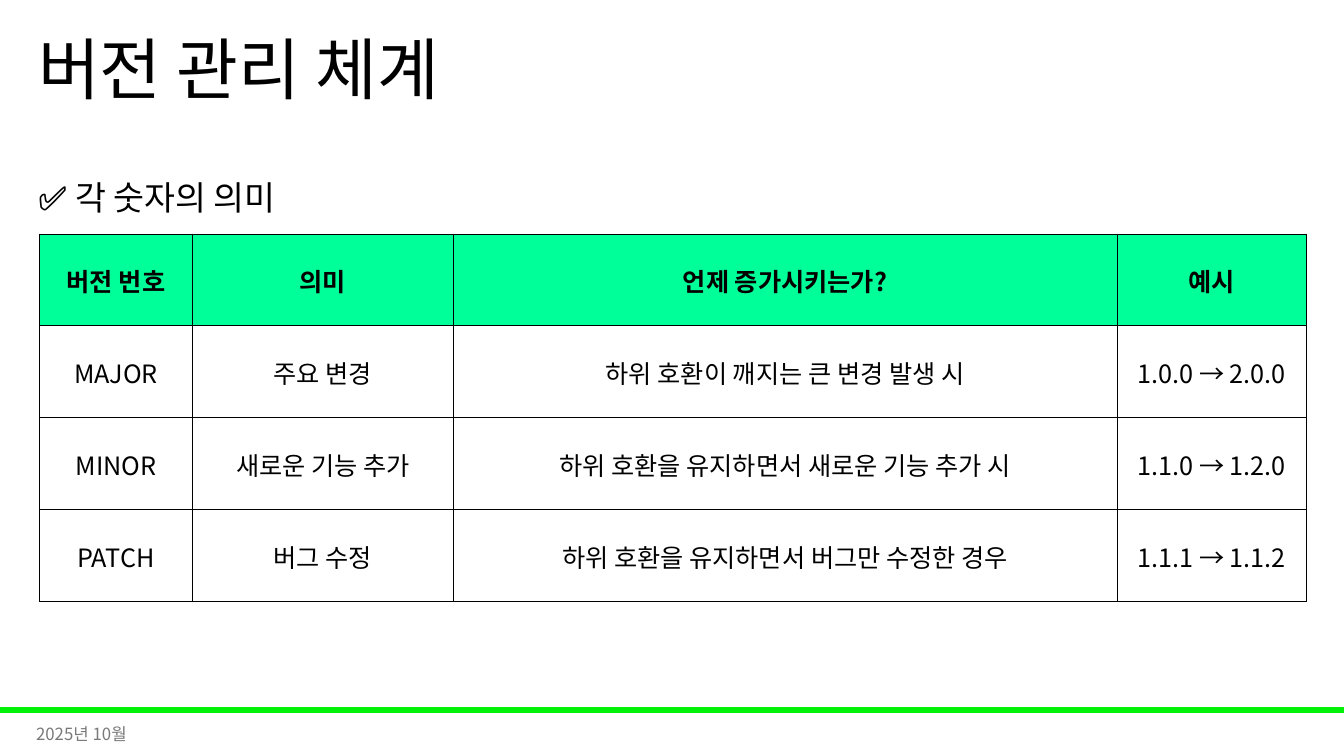
from lxml import etree
from pptx import Presentation
from pptx import util as u
from pptx.dml.color import RGBColor
from pptx.enum import shapes, text
from pptx.oxml import ns

FONT = "Noto Sans CJK KR"
BLACK = RGBColor(0x00, 0x00, 0x00)
GREY = RGBColor(0x79, 0x79, 0x79)
RULE_GREEN = RGBColor(0x00, 0xF2, 0x09)
HEADER_GREEN = RGBColor(0x00, 0xFF, 0x99)

SLIDE_WIDTH, SLIDE_HEIGHT = 13.33, 7.5
COLUMN_WIDTHS = (1.52, 2.58, 6.58, 1.88)
VERSION_ROWS = (
    ("버전 번호", "의미", "언제 증가시키는가?", "예시"),
    ("MAJOR", "주요 변경", "하위 호환이 깨지는 큰 변경 발생 시", "1.0.0 → 2.0.0"),
    ("MINOR", "새로운 기능 추가", "하위 호환을 유지하면서 새로운 기능 추가 시", "1.1.0 → 1.2.0"),
    ("PATCH", "버그 수정", "하위 호환을 유지하면서 버그만 수정한 경우", "1.1.1 → 1.1.2"),
)


def inches(box):
    return [u.Inches(length) for length in box]


def set_attributes(target, values):
    for name, value in values.items():
        setattr(target, name, value)


def write(paragraph, wording, size, color=BLACK, bold=False):
    """Add one run, with the font set for Latin and Korean letters."""
    run = paragraph.add_run()
    run.text = wording
    set_attributes(run.font, {"name": FONT, "size": u.Pt(size), "bold": bold})
    run.font.color.rgb = color
    etree.SubElement(run.font._element, ns.qn("a:ea"), typeface=FONT)


def add_line_of_text(slide, box, wording, size, color=BLACK,
                     anchor=text.MSO_ANCHOR.MIDDLE, spacing=1.0):
    frame = slide.shapes.add_textbox(*inches(box)).text_frame
    set_attributes(frame, {"word_wrap": True, "vertical_anchor": anchor})
    paragraph = frame.paragraphs[0]
    paragraph.line_spacing = spacing
    write(paragraph, wording, size, color)


def add_borders(cell):
    properties = cell._tc.get_or_add_tcPr()
    for side in ("lnL", "lnR", "lnT", "lnB"):
        border = etree.SubElement(properties, ns.qn(f"a:{side}"), w=str(u.Pt(0.5)))
        fill = etree.SubElement(border, ns.qn("a:solidFill"))
        etree.SubElement(fill, ns.qn("a:srgbClr"), val=str(BLACK))


def add_version_table(slide, box):
    left, top, width, height = inches(box)
    table = slide.shapes.add_table(
        len(VERSION_ROWS), len(COLUMN_WIDTHS), left, top, width, height).table
    set_attributes(table, {"first_row": False, "horz_banding": False})
    for column, share in zip(table.columns, COLUMN_WIDTHS):
        column.width = int(width * share / sum(COLUMN_WIDTHS))
    margin = u.Inches(0.01)
    cell_format = {
        "vertical_anchor": text.MSO_ANCHOR.MIDDLE,
        "margin_left": margin, "margin_right": margin,
        "margin_top": margin, "margin_bottom": 0,
    }
    for row, wordings in enumerate(VERSION_ROWS):
        is_header = row == 0
        for column, wording in enumerate(wordings):
            cell = table.cell(row, column)
            set_attributes(cell, cell_format)
            add_borders(cell)
            if is_header:
                cell.fill.solid()
                cell.fill.fore_color.rgb = HEADER_GREEN
            else:
                cell.fill.background()
            paragraph = cell.text_frame.paragraphs[0]
            paragraph.alignment = text.PP_ALIGN.CENTER
            write(paragraph, wording, 18, bold=is_header)


def add_footer(slide, box):
    """Place the green rule at the top of the box and the date below it."""
    left, top, width, height = box
    rule_height = 0.05
    rule = slide.shapes.add_shape(
        shapes.MSO_SHAPE.RECTANGLE, *inches((left, top, width, rule_height)))
    rule.shadow.inherit = False
    rule.fill.solid()
    rule.fill.fore_color.rgb = RULE_GREEN
    rule.line.color.rgb = RULE_GREEN
    rule.line.width = u.Pt(1)
    date_box = (left + 0.26, top + 0.06, 3, 0.4)
    add_line_of_text(slide, date_box, "2025년 10월", 12, GREY)


def main():
    deck = Presentation()
    deck.slide_width, deck.slide_height = inches((SLIDE_WIDTH, SLIDE_HEIGHT))
    slide = deck.slides.add_slide(deck.slide_layouts[6])
    footer_top = 7.02
    add_footer(slide, (0, footer_top, SLIDE_WIDTH, SLIDE_HEIGHT - footer_top))
    add_line_of_text(slide, (0.28, 0, 11.5, 1.45), "버전 관리 체계", 48, spacing=0.9)
    add_line_of_text(slide, (0.28, 1.63, 8.69, 0.7), "✅ 각 숫자의 의미", 24,
                     anchor=text.MSO_ANCHOR.TOP, spacing=1.2)
    add_version_table(slide, (0.39, 2.32, 12.57, 3.65))
    deck.save("out.pptx")


if __name__ == "__main__":
    main()
